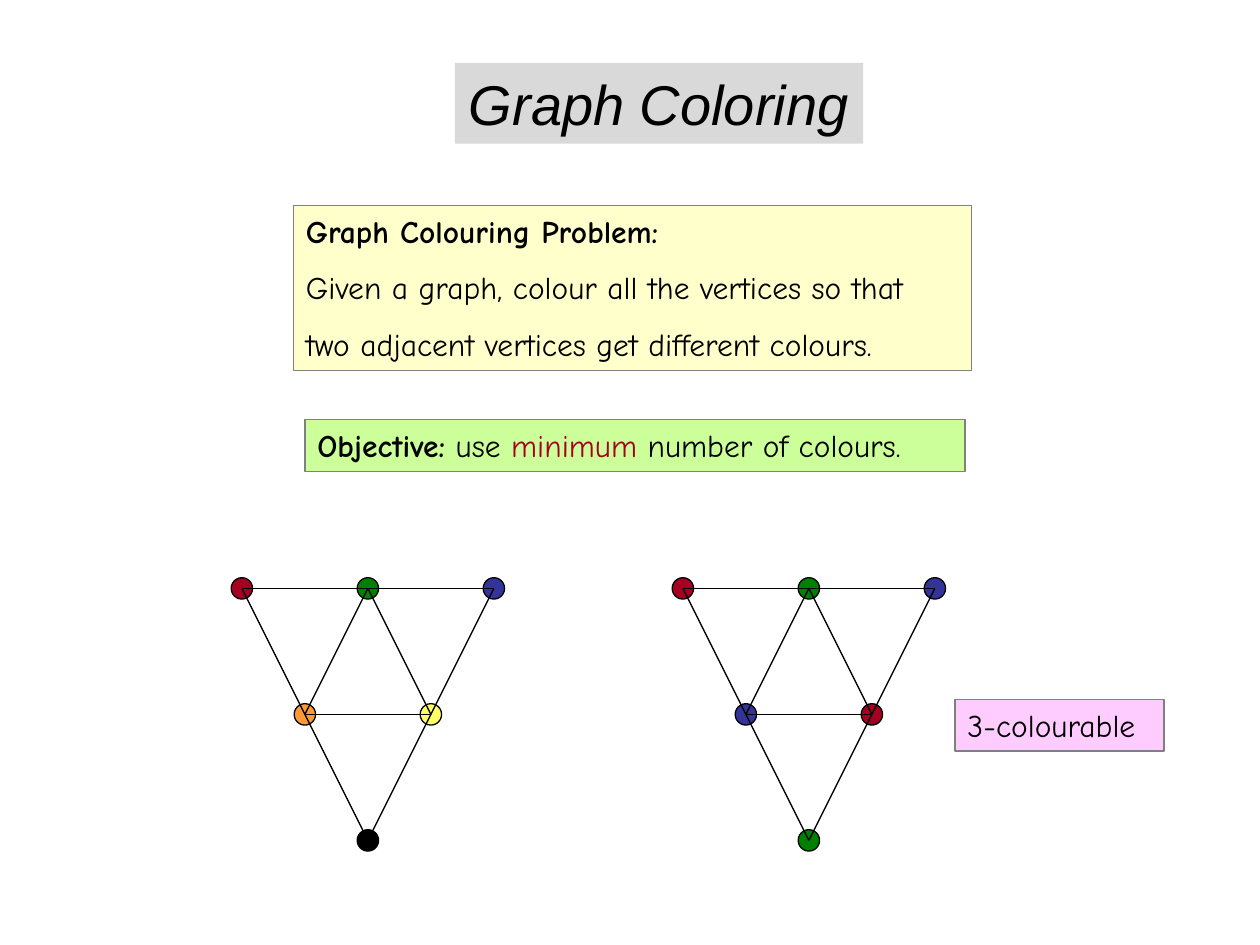
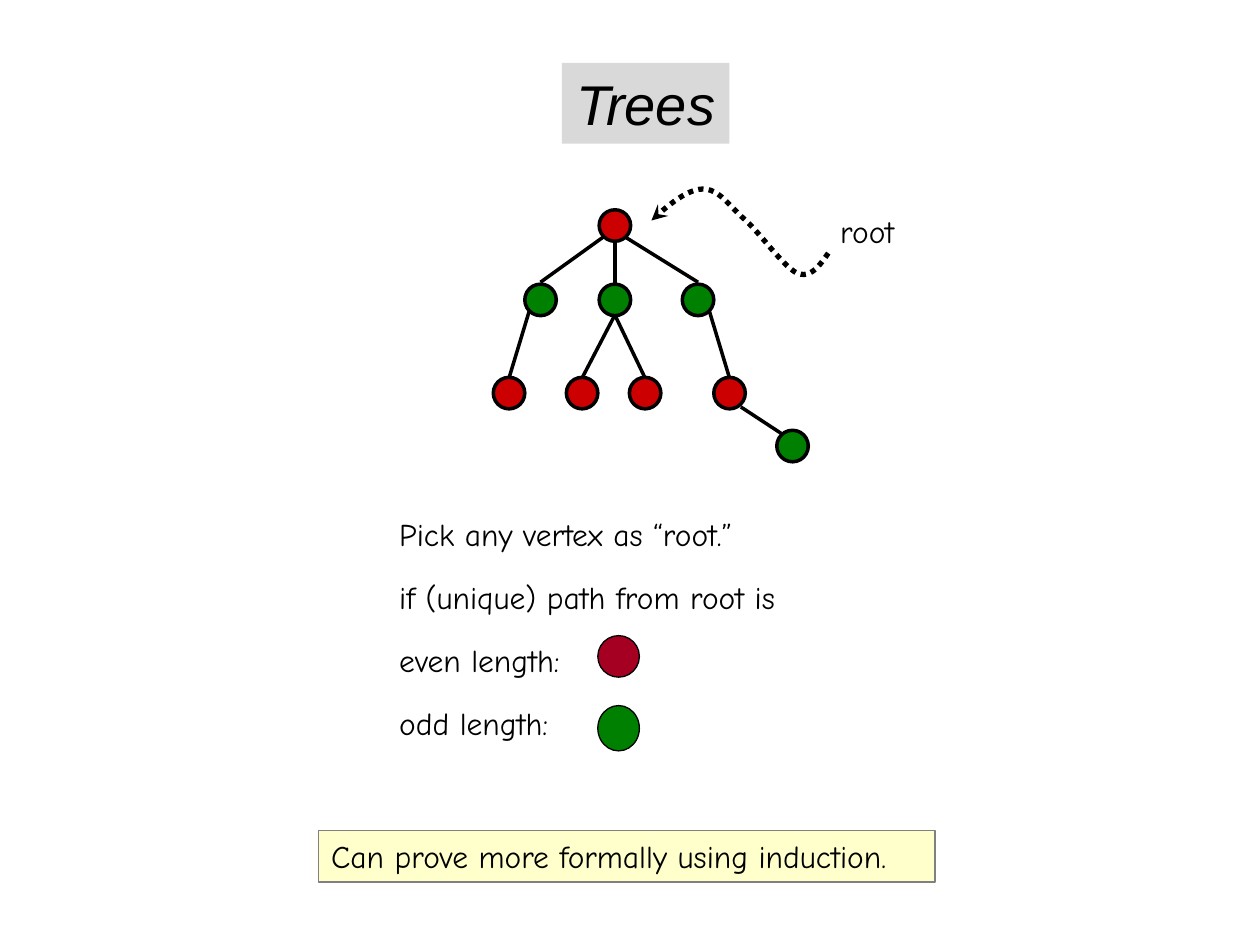
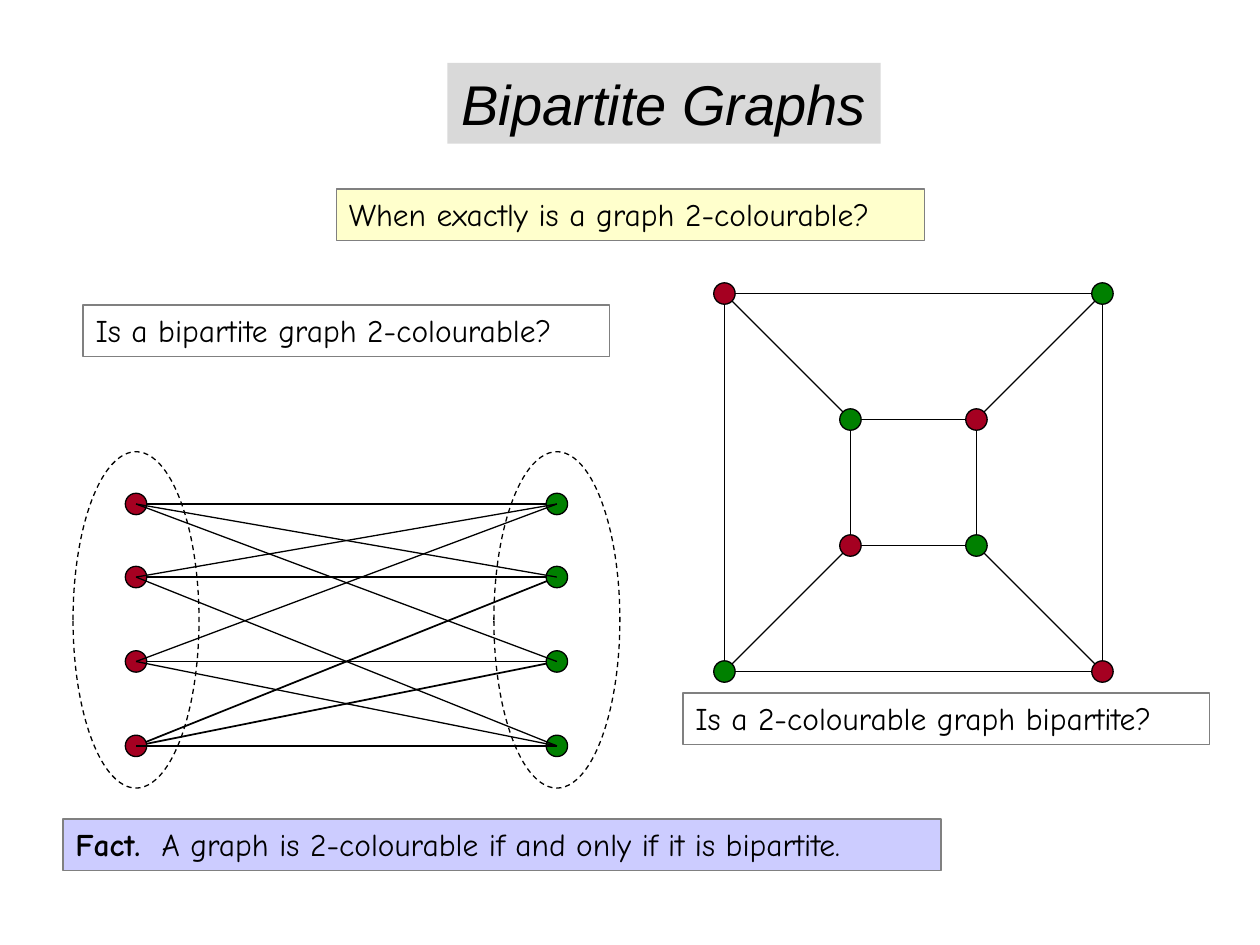
from dataclasses import dataclass
from itertools import product

from lxml import etree
from pptx import Presentation
from pptx.dml.color import RGBColor
from pptx.enum.dml import MSO_LINE
from pptx.enum.shapes import MSO_CONNECTOR, MSO_SHAPE
from pptx.enum.text import MSO_ANCHOR, PP_ALIGN
from pptx.oxml.ns import qn
from pptx.util import Inches, Pt

RECTANGLE = MSO_SHAPE.RECTANGLE
OVAL = MSO_SHAPE.OVAL
STRAIGHT = MSO_CONNECTOR.STRAIGHT
DASH = MSO_LINE.DASH
DOTS = MSO_LINE.ROUND_DOT
TOP = MSO_ANCHOR.TOP
LEFT = PP_ALIGN.LEFT
CENTER = PP_ALIGN.CENTER


@dataclass(frozen=True)
class Theme:
    title_font: str = "Arial"
    body_font: str = "Comic Neue"
    title_size: int = 32
    body_size: int = 18
    black: str = "000000"
    title_fill: str = "D9D9D9"
    border: str = "808080"
    cream: str = "FFFFCC"
    lime: str = "CCFF99"
    pink: str = "FFCCFF"
    lavender: str = "CCCCFF"
    crimson: str = "A50021"
    red: str = "CC0000"
    green: str = "008000"
    blue: str = "333399"
    orange: str = "FF9933"
    yellow: str = "FFFF66"
    thin: float = 0.75


theme = Theme()


def add_text(page, paragraphs, left, top, width, height=0.41, fill=None, border=None,
             font=theme.body_font, size=theme.body_size, italic=False, wrap=True,
             align=LEFT, space_before=0):
    frame = [Inches(length) for length in (left, top, width, height)]
    if fill or border:
        box = page.shapes.add_shape(RECTANGLE, *frame)
        box.shadow.inherit = False
    else:
        box = page.shapes.add_textbox(*frame)
    if fill:
        box.fill.solid()
        box.fill.fore_color.rgb = RGBColor.from_string(fill)
    else:
        box.fill.background()
    if border:
        box.line.color.rgb = RGBColor.from_string(border)
        box.line.width = Pt(theme.thin)
    else:
        box.line.fill.background()
    text = box.text_frame
    text.word_wrap = wrap
    text.vertical_anchor = TOP
    for index, spans in enumerate(paragraphs):
        para = text.paragraphs[0] if index == 0 else text.add_paragraph()
        para.alignment = align
        para.space_before = Pt(space_before)
        para.line_spacing = 1.5 if index else 1.0
        for words, bold, color in spans:
            span = para.add_run()
            span.text = words
            span.font.name = font
            span.font.size = Pt(size)
            span.font.bold = bold
            span.font.italic = italic
            span.font.color.rgb = RGBColor.from_string(color)


def draw_graph(page, edges=(), vertices=(), size=(0.17, 0.17), weight=theme.thin, dash=None):
    for start, end in edges:
        edge = page.shapes.add_connector(STRAIGHT, *[Inches(value) for value in (*start, *end)])
        edge.line.color.rgb = RGBColor.from_string(theme.black)
        edge.line.width = Pt(weight)
        etree.SubElement(edge.element.spPr, qn("a:effectLst"))
    width, height = size
    for (x, y), color in vertices:
        vertex = page.shapes.add_shape(OVAL, Inches(x - width / 2), Inches(y - height / 2),
                                       Inches(width), Inches(height))
        vertex.shadow.inherit = False
        if color:
            vertex.fill.solid()
            vertex.fill.fore_color.rgb = RGBColor.from_string(color)
        else:
            vertex.fill.background()
        vertex.line.color.rgb = RGBColor.from_string(theme.black)
        vertex.line.width = Pt(weight)
        vertex.line.dash_style = dash


deck = Presentation()
deck.slide_width = Inches(10)
deck.slide_height = Inches(7.5)

pages = []
for title, left, width in [("Graph Coloring", 3.61, 3.24), ("Trees", 4.46, 1.33),
                           ("Bipartite Graphs", 3.55, 3.44)]:
    page = deck.slides.add_slide(deck.slide_layouts[6])
    add_text(page, [[(title, False, theme.black)]], left, 0.5, width, 0.64,
             fill=theme.title_fill, font=theme.title_font, size=theme.title_size,
             italic=True, wrap=False, align=CENTER)
    pages.append(page)
coloring, trees, bipartite = pages

add_text(coloring, [
    [("Graph Colouring Problem:", True, theme.black)],
    [("Given a graph, colour all the vertices so that", False, theme.black)],
    [("two adjacent vertices get different colours.", False, theme.black)],
], 2.33, 1.63, 5.38, 1.31, fill=theme.cream, border=theme.border)
add_text(coloring, [[
    ("Objective:", True, theme.black),
    (" use ", False, theme.black),
    ("minimum", False, theme.crimson),
    (" number of colours.", False, theme.black),
]], 2.42, 3.33, 5.24, fill=theme.lime, border=theme.border)

six_colors = [theme.crimson, theme.green, theme.blue, theme.orange, theme.yellow, theme.black]
three_colors = [theme.crimson, theme.green, theme.blue, theme.blue, theme.crimson, theme.green]
triangle_edges = [(0, 5), (0, 2), (2, 5), (1, 3), (3, 4), (1, 4)]
for left, colors in [(1.92, six_colors), (5.42, three_colors)]:
    points = [(left + row / 2 + column, 4.67 + row)
              for row in range(3) for column in range(3 - row)]
    draw_graph(coloring, vertices=zip(points, colors))
    draw_graph(coloring, edges=[(points[a], points[b]) for a, b in triangle_edges])
add_text(coloring, [[("3-colourable", False, theme.black)]], 7.58, 5.55, 1.66,
         fill=theme.pink, border=theme.border)

rules = ["Pick any vertex as “root.”", "if (unique) path from root is",
         "even length:", "odd length:"]
add_text(trees, [[(rule, False, theme.black)] for rule in rules], 3.07, 4.04, 3.75, 2.25,
         space_before=3.6)
add_text(trees, [[("root", False, theme.black)]], 6.57, 1.63, 0.7, 0.4)

curves = [
    [(5.17, 1.75), (5.31, 1.62), (5.46, 1.5), (5.58, 1.5)],
    [(5.58, 1.5), (5.71, 1.5), (5.79, 1.64), (5.92, 1.75)],
    [(5.92, 1.75), (6.04, 1.86), (6.22, 2.12), (6.33, 2.17)],
    [(6.33, 2.17), (6.44, 2.21), (6.51, 2.1), (6.58, 2)],
]
steps = 12
arrow_points = []
for curve, step in product(curves, range(1, steps + 1)):
    t = step / steps
    shares = [(1 - t) ** 3, 3 * t * (1 - t) ** 2, 3 * t ** 2 * (1 - t), t ** 3]
    arrow_points.append(tuple(
        Inches(sum(share * point[axis] for share, point in zip(shares, curve)))
        for axis in (0, 1)))
builder = trees.shapes.build_freeform(Inches(5.17), Inches(1.75))
builder.add_line_segments(arrow_points, close=False)
root_arrow = builder.convert_to_shape()
root_arrow.shadow.inherit = False
root_arrow.fill.background()
root_arrow.line.color.rgb = RGBColor.from_string(theme.black)
root_arrow.line.width = Pt(3)
root_arrow.line.dash_style = DOTS
etree.SubElement(root_arrow.line._get_or_add_ln(), qn("a:headEnd"), type="stealth")

tree_edges = [
    ((4.88, 1.92), (4.88, 2.25)), ((4.79, 1.88), (4.29, 2.24)), ((4.96, 1.88), (5.54, 2.24)),
    ((4.88, 2.5), (4.62, 3)), ((4.88, 2.5), (5.12, 3)), ((4.2, 2.47), (4.04, 3)),
    ((5.63, 2.47), (5.79, 3)), ((5.88, 3.23), (6.2, 3.44)),
]
tree_levels = [
    (1.79, theme.red, [4.88]),
    (2.38, theme.green, [4.29, 4.88, 5.54]),
    (3.12, theme.red, [4.04, 4.62, 5.12, 5.79]),
    (3.54, theme.green, [6.29]),
]
tree_vertices = [((x, y), color) for y, color, columns in tree_levels for x in columns]
draw_graph(trees, tree_edges, tree_vertices, size=(0.25, 0.25), weight=2)
draw_graph(trees, vertices=[((4.91, 5.21), theme.crimson)], size=(0.33, 0.33))
draw_graph(trees, vertices=[((4.91, 5.78), theme.green)], size=(0.33, 0.36))
add_text(trees, [[("Can prove more formally using induction.", False, theme.black)]],
         2.53, 6.59, 4.89, fill=theme.cream, border=theme.border)

for question, left, top, width, fill in [
    ("When exactly is a graph 2-colourable?", 2.67, 1.5, 4.67, theme.cream),
    ("Is a bipartite graph 2-colourable?", 0.66, 2.42, 4.18, None),
    ("Is a 2-colourable graph bipartite?", 5.42, 5.5, 4.18, None),
]:
    add_text(bipartite, [[(question, False, theme.black)]], left, top, width,
             fill=fill, border=theme.border)

rows = [4, 4.58, 5.25, 5.92]
left_side = [(1.08, y) for y in rows]
right_side = [(4.42, y) for y in rows]
heavy_pairs = [(0, 0), (1, 1), (2, 2), (3, 1), (3, 2)]
light_pairs = [(a, b) for a, b in product(range(4), repeat=2)
               if a + b != 3 and (a, b) not in heavy_pairs]
side_vertices = [(point, theme.crimson) for point in left_side]
side_vertices += [(point, theme.green) for point in right_side]
draw_graph(bipartite, [(left_side[a], right_side[b]) for a, b in heavy_pairs], weight=1)
draw_graph(bipartite, vertices=side_vertices)
draw_graph(bipartite, vertices=[((x, 4.92), None) for x in (1.08, 4.42)],
           size=(1, 2.67), dash=DASH)
draw_graph(bipartite, [(left_side[a], right_side[b]) for a, b in light_pairs])

outer, inner = [
    [(7.25 + x * half, 3.83 + y * half) for x, y in [(-1, -1), (1, -1), (1, 1), (-1, 1)]]
    for half in (1.5, 0.5)
]
cube_edges, cube_vertices = [], []
for corner in range(4):
    following = (corner + 1) % 4
    cube_edges += [(outer[corner], outer[following]), (inner[corner], inner[following]),
                   (outer[corner], inner[corner])]
    pair = [theme.crimson, theme.green]
    cube_vertices += [(outer[corner], pair[corner % 2]), (inner[corner], pair[following % 2])]
draw_graph(bipartite, cube_edges, cube_vertices)

add_text(bipartite, [[
    ("Fact.", True, theme.black),
    ("  A graph is 2-colourable if and only if it is bipartite.", False, theme.black),
]], 0.5, 6.5, 6.97, fill=theme.lavender, border=theme.border)

deck.save("out.pptx")
